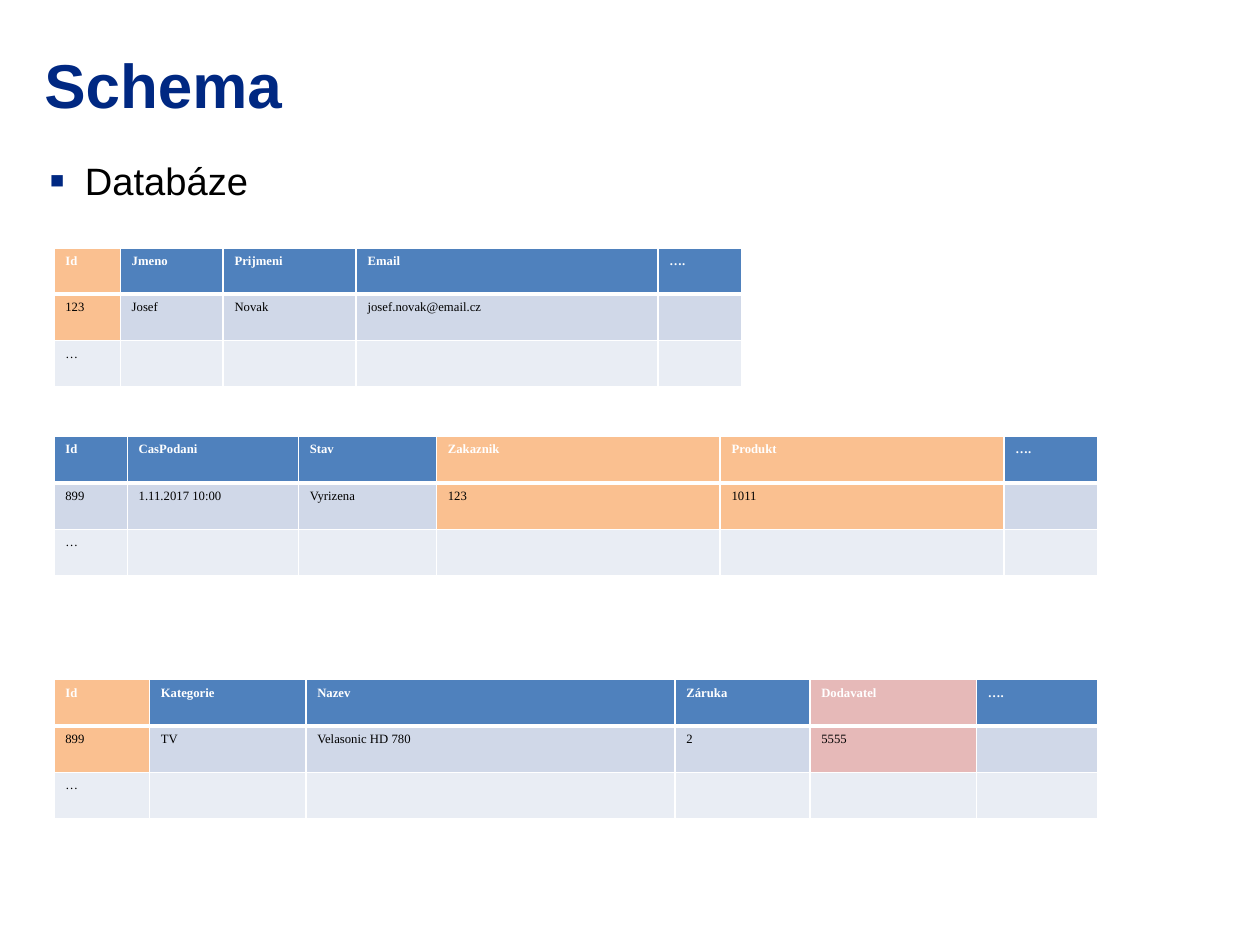
"""Build the database schema slide with its three sample tables."""
from dataclasses import dataclass

from lxml.etree import SubElement
from pptx import Presentation
from pptx.dml.color import RGBColor
from pptx.enum.text import MSO_ANCHOR
from pptx.oxml import parse_xml
from pptx.oxml.ns import nsdecls, qn
from pptx.slide import Slide
from pptx.table import _Cell
from pptx.text.text import TextFrame, _Paragraph
from pptx.util import Pt

COLORS = {
    "navy": "002882",
    "black": "000000",
    "white": "FFFFFF",
    "header": "4F81BD",
    "band": "D0D8E8",
    "light": "E9EDF4",
    "orange": "FAC090",
    "pink": "E6B9B8",
}
ROW_FILLS = ("header", "band", "light")
ROW_HEIGHT = 29.2
TABLE_LEFT = 34


@dataclass
class TableSpec:
    top: float
    widths: list[float]
    header: list[str]
    record: list[str]
    highlights: dict[int, str]


TABLES = [
    TableSpec(156.2, [41.8, 64.8, 83.8, 190.1, 53],
              ["Id", "Jmeno", "Prijmeni", "Email", "…."],
              ["123", "Josef", "Novak", "josef.novak@email.cz", ""],
              {0: "orange"}),
    TableSpec(275, [46.2, 107.8, 87, 178.7, 178.8, 58.9],
              ["Id", "CasPodani", "Stav", "Zakaznik", "Produkt", "…."],
              ["899", "1.11.2017 10:00", "Vyrizena", "123", "1011", ""],
              {3: "orange", 4: "orange"}),
    TableSpec(428.2, [60.1, 98.6, 232.5, 85, 105, 76.2],
              ["Id", "Kategorie", "Nazev", "Záruka", "Dodavatel", "…."],
              ["899", "TV", "Velasonic HD 780", "2", "5555", ""],
              {0: "orange", 4: "pink"}),
]


def rgb(name: str) -> RGBColor:
    return RGBColor.from_string(COLORS[name])


def format_runs(p: _Paragraph, font: str, size: float, color: str, bold: bool = False) -> None:
    for r in p.runs:
        r.font.name = font
        r.font.size = Pt(size)
        r.font.color.rgb = rgb(color)
        r.font.bold = bold


def add_text(slide: Slide, text: str, top: float, width: float, height: float) -> TextFrame:
    sp = slide.shapes.add_textbox(Pt(28), Pt(top), Pt(width), Pt(height))
    tf = sp.text_frame
    tf.word_wrap = True
    tf.margin_left = tf.margin_top = tf.margin_right = tf.margin_bottom = 0
    tf.text = text
    return tf


def add_bullet(p: _Paragraph) -> None:
    pPr = p._p.get_or_add_pPr()
    pPr.set("marL", str(Pt(25.5)))
    pPr.set("indent", str(Pt(-22.5)))
    color = SubElement(pPr, qn("a:buClr"))
    SubElement(color, qn("a:srgbClr"), val=COLORS["navy"])
    SubElement(pPr, qn("a:buSzPct"), val="120000")
    SubElement(pPr, qn("a:buFont"), typeface="Arial")
    SubElement(pPr, qn("a:buChar"), char="▪")


def set_borders(cell: _Cell, top: float, bottom: float) -> None:
    tcPr = cell._tc.get_or_add_tcPr()
    for i, (side, width) in enumerate(zip("LRTB", (1, 1, top, bottom))):
        tcPr.insert(i, parse_xml(
            f'<a:ln{side} {nsdecls("a")} w="{Pt(width)}"><a:solidFill>'
            f'<a:srgbClr val="{COLORS["white"]}"/></a:solidFill></a:ln{side}>'))


def add_data_table(slide: Slide, spec: TableSpec) -> None:
    rows = [spec.header, spec.record, ["…"] + [""] * (len(spec.widths) - 1)]
    table = slide.shapes.add_table(
        len(rows), len(spec.widths), Pt(TABLE_LEFT), Pt(spec.top),
        Pt(sum(spec.widths)), Pt(ROW_HEIGHT * len(rows))).table
    table.horz_banding = False
    for column, width in zip(table.columns, spec.widths):
        column.width = Pt(width)
    for i, texts in enumerate(rows):
        table.rows[i].height = Pt(ROW_HEIGHT)
        is_header = i == 0
        for j, text in enumerate(texts):
            cell = table.cell(i, j)
            fill = ROW_FILLS[i] if i == 2 else spec.highlights.get(j, ROW_FILLS[i])
            cell.fill.solid()
            cell.fill.fore_color.rgb = rgb(fill)
            set_borders(cell, 3 if i == 1 else 1, 3 if is_header else 1)
            if text:
                p = cell.text_frame.paragraphs[0]
                p.text = text
                p.line_spacing = 1.02
                format_runs(p, "Times New Roman", 8,
                            "white" if is_header else "black", is_header)


def main() -> None:
    prs = Presentation()
    prs.slide_width = Pt(793.7)
    prs.slide_height = Pt(595.28)
    slide = prs.slides.add_slide(prs.slide_layouts[6])

    title = add_text(slide, "Schema", 8.6, 737.3, 87.8)
    title.vertical_anchor = MSO_ANCHOR.MIDDLE
    format_runs(title.paragraphs[0], "Arial", 39, "navy", True)

    body = add_text(slide, "Databáze", 99, 731.5, 460.8)
    add_bullet(body.paragraphs[0])
    format_runs(body.paragraphs[0], "Arial", 24, "black")

    for spec in TABLES:
        add_data_table(slide, spec)
    prs.save("out.pptx")


if __name__ == "__main__":
    main()
